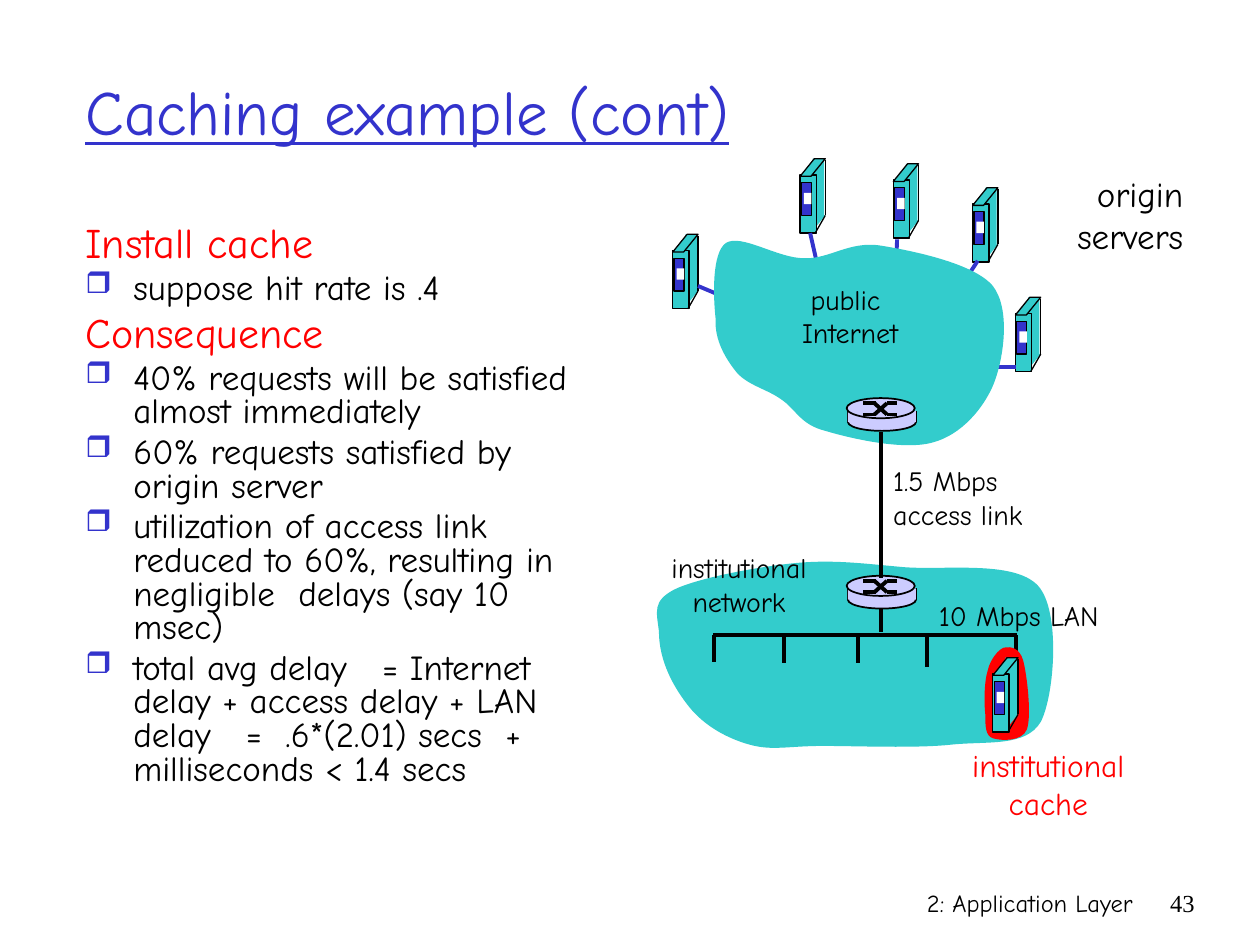
from dataclasses import dataclass
from typing import NamedTuple

from lxml.etree import SubElement
from pptx import Presentation
from pptx.dml.color import RGBColor
from pptx.enum.shapes import MSO_CONNECTOR, MSO_SHAPE
from pptx.enum.text import MSO_ANCHOR, PP_ALIGN
from pptx.oxml.ns import qn
from pptx.util import Inches, Pt


@dataclass(frozen=True)
class Theme:
    ink: str = "000000"
    paper: str = "FFFFFF"
    blue: str = "3333CC"
    teal: str = "33CCCC"
    pale: str = "CCCCFF"
    red: str = "FF0000"
    face: str = "Comic Neue"
    serif: str = "Times New Roman"
    title: int = 36
    head: int = 24
    body: int = 20
    cache: int = 18
    label: int = 16
    foot: int = 14
    thin: float = 0.75
    rim: float = 1
    thick: float = 2.25


class Point(NamedTuple):
    x: float
    y: float


class Box(NamedTuple):
    x: float
    y: float
    w: float
    h: float


class Label(NamedTuple):
    box: Box
    lines: tuple
    size: int
    align: PP_ALIGN = PP_ALIGN.CENTER
    color: str = Theme.ink
    face: str = Theme.face


class Item(NamedTuple):
    text: str
    head: bool = False


T = Theme()
SERVERS = [Point(5.34, 1.86), Point(6.35, 1.26), Point(7.09, 1.3),
           Point(7.72, 1.49), Point(8.06, 2.36)]
LINKS = [(5.54, 2.27, 5.85, 2.4), (6.43, 1.85, 6.5, 2.16), (7.12, 1.9, 7.11, 2.16),
         (7.76, 2.07, 7.61, 2.3), (8.06, 2.91, 7.79, 2.91)]
TAPS = [(5.67, 5.25), (6.22, 5.26), (6.81, 5.26), (7.36, 5.29), (8.06, 5.28)]
PUBLIC = [(5.68, 2.53), (5.66, 2.35), (5.65, 2.01), (5.76, 1.93), (5.88, 1.85), (6.17, 2.05),
          (6.38, 2.05), (6.58, 2.06), (6.74, 1.91), (6.99, 1.95), (7.24, 1.99), (7.73, 2.09),
          (7.88, 2.27), (8.02, 2.45), (7.97, 2.83), (7.89, 3.04), (7.81, 3.24), (7.63, 3.45),
          (7.41, 3.51), (7.18, 3.58), (6.75, 3.48), (6.55, 3.42), (6.35, 3.37), (6.32, 3.25),
          (6.2, 3.17), (6.09, 3.09), (5.94, 3.06), (5.85, 2.96), (5.76, 2.85), (5.67, 2.7),
          (5.68, 2.53)]
CAMPUS = [(5.23, 5.01), (5.21, 4.85), (5.18, 4.77), (5.35, 4.68), (5.53, 4.59), (6, 4.5),
          (6.3, 4.47), (6.6, 4.44), (6.83, 4.47), (7.16, 4.5), (7.48, 4.53), (8.05, 4.44),
          (8.24, 4.65), (8.42, 4.85), (8.37, 5.52), (8.26, 5.73), (8.14, 5.93), (7.84, 5.88),
          (7.55, 5.91), (7.27, 5.94), (6.8, 5.92), (6.53, 5.92), (6.26, 5.92), (6.13, 5.96),
          (5.95, 5.91), (5.77, 5.86), (5.59, 5.76), (5.47, 5.61), (5.35, 5.46), (5.23, 5.25),
          (5.23, 5.01)]
HALO = [(7.84, 5.32), (7.86, 5.23), (7.93, 5.15), (7.97, 5.14), (8.02, 5.13), (8.09, 5.14),
        (8.12, 5.24), (8.15, 5.35), (8.19, 5.68), (8.15, 5.79), (8.11, 5.89), (7.94, 5.88),
        (7.88, 5.86), (7.82, 5.84), (7.82, 5.76), (7.82, 5.67), (7.81, 5.58), (7.81, 5.41),
        (7.84, 5.32)]
ITEMS = [
    Item("Install cache", True),
    Item("suppose hit rate is .4"),
    Item("Consequence", True),
    Item("40% requests will be satisfied almost immediately"),
    Item("60% requests satisfied by origin server"),
    Item("utilization of access link reduced to 60%, resulting in negligible  delays (say 10 msec)"),
    Item("total avg delay   = Internet delay + access delay + LAN delay   =  .6*(2.01) secs  + "
         "milliseconds < 1.4 secs"),
]
LABELS = [
    Label(Box(5.92, 7, 3.17, 0.5), ("2: Application Layer",), T.foot, PP_ALIGN.RIGHT),
    Label(Box(9.08, 7, 0.5, 0.5), ("43",), T.foot, PP_ALIGN.RIGHT, face=T.serif),
    Label(Box(8.31, 1.32, 1.18, 0.77), ("origin", "servers"), T.body, PP_ALIGN.RIGHT),
    Label(Box(6.12, 2.19, 1.18, 0.64), ("public", " Internet"), T.label),
    Label(Box(5.14, 4.32, 1.45, 0.64), ("institutional", "network"), T.label),
    Label(Box(7.29, 4.7, 1.59, 0.37), ("10 Mbps LAN",), T.label),
    Label(Box(6.99, 3.63, 1.31, 0.64), ("1.5 Mbps", "access link"), T.label, PP_ALIGN.LEFT),
    Label(Box(7.52, 5.87, 1.6, 0.7), ("institutional", "cache"), T.cache, color=T.red),
]


def apply(thing, **form) -> None:
    for key, value in form.items():
        setattr(thing, key, value)


def paint(shape, fill: str, edge: float = 0) -> None:
    shape.shadow.inherit = False
    shape.fill.solid()
    shape.fill.fore_color.rgb = RGBColor.from_string(fill)
    if edge:
        shape.line.color.rgb = RGBColor.from_string(T.ink)
        shape.line.width = Pt(edge)
    else:
        shape.line.fill.background()


def block(pen, kind: MSO_SHAPE, at: Point, box: Box, fill: str, edge: float = 0) -> None:
    shape = pen.add_shape(kind, Inches(at.x + box.x), Inches(at.y + box.y),
                          Inches(box.w), Inches(box.h))
    if kind == MSO_SHAPE.PARALLELOGRAM:
        shape.adjustments[0] = 0.81
    paint(shape, fill, edge)


def wire(pen, ends: tuple, width: float, color: str = T.ink, at: Point = Point(0, 0)) -> None:
    x, y, right, low = ends
    line = pen.add_connector(MSO_CONNECTOR.STRAIGHT, Inches(at.x + x), Inches(at.y + y),
                             Inches(at.x + right), Inches(at.y + low))
    line.line.color.rgb = RGBColor.from_string(color)
    line.line.width = Pt(width)
    SubElement(line._element.spPr, qn("a:effectLst"))


def blob(pen, knots: list, fill: str) -> None:
    first, *rest = [(Inches(x), Inches(y)) for x, y in knots]
    maker = pen.build_freeform(*first)
    maker.add_line_segments(rest, close=False)
    shape = maker.convert_to_shape()
    route = shape._element.find(".//" + qn("a:path"))
    legs = route.findall(qn("a:lnTo"))
    for i in range(0, len(legs), 3):
        curve = SubElement(route, qn("a:cubicBezTo"))
        for leg in legs[i:i + 3]:
            curve.append(leg[0])
            route.remove(leg)
    SubElement(route, qn("a:close"))
    paint(shape, fill)


def server(pen, at: Point) -> None:
    pen = pen.add_group_shape().shapes
    slant, rect = MSO_SHAPE.PARALLELOGRAM, MSO_SHAPE.RECTANGLE
    block(pen, slant, at, Box(0, 0.45, 0.2, 0.14), T.teal)
    block(pen, rect, at, Box(0.1, 0, 0.09, 0.46), T.teal)
    block(pen, rect, at, Box(0, 0.13, 0.13, 0.46), T.teal, T.thin)
    block(pen, slant, at, Box(0, 0, 0.2, 0.14), T.teal, T.thin)
    wire(pen, (0.2, 0.01, 0.2, 0.45), T.thin, at=at)
    wire(pen, (0.2, 0.45, 0.12, 0.59), T.thin, at=at)
    block(pen, rect, at, Box(0.01, 0.19, 0.08, 0.26), T.blue, T.thin)
    block(pen, rect, at, Box(0.03, 0.27, 0.06, 0.09), T.paper)


def router(pen, at: Point) -> None:
    pen = pen.add_group_shape().shapes
    block(pen, MSO_SHAPE.OVAL, at, Box(0.01, 0.12, 0.54, 0.14), T.pale, T.rim)
    for x in (0.01, 0.55):
        wire(pen, (x, 0.1, x, 0.19), T.rim, at=at)
    block(pen, MSO_SHAPE.RECTANGLE, at, Box(0.01, 0.1, 0.54, 0.09), T.pale)
    block(pen, MSO_SHAPE.OVAL, at, Box(0, 0, 0.54, 0.16), T.pale, T.rim)
    for y, end in ((0.04, 0.13), (0.13, 0.04)):
        for ends in ((0.13, y, 0.23, y), (0.32, end, 0.4, end), (0.22, y, 0.32, end)):
            wire(pen, ends, T.thick, at=at)


def frame(pen, box: Box):
    text = pen.add_textbox(*map(Inches, box)).text_frame
    text.word_wrap = True
    return text


def write(text, i: int, words: str, size: int, color: str, face: str = T.face, **form):
    line = text.add_paragraph() if i else text.paragraphs[0]
    run = line.add_run()
    run.text = words
    apply(run.font, size=Pt(size), name=face, **form)
    run.font.color.rgb = RGBColor.from_string(color)
    return line


def label(pen, note: Label) -> None:
    text = frame(pen, note.box)
    for i, words in enumerate(note.lines):
        write(text, i, words, note.size, note.color, note.face).alignment = note.align


def points(pen) -> None:
    text = frame(pen, Box(0.58, 1.75, 4.33, 5.08))
    for i, item in enumerate(ITEMS):
        size, color = (T.head, T.red) if item.head else (T.body, T.ink)
        line = write(text, i, item.text, size, color)
        apply(line, line_spacing=0.8, space_before=Pt(size * 0.2 if i else 0))
        props = line._p.get_or_add_pPr()
        props.set("marL", str(Inches(0.38)))
        props.set("indent", str(-Inches(0.38)))
        if not item.head:
            SubElement(SubElement(props, qn("a:buClr")), qn("a:srgbClr"), val=T.blue)
            SubElement(props, qn("a:buSzPct"), val="85000")
            SubElement(props, qn("a:buChar"), char="❒")


def main() -> None:
    """Build the caching slide and save it."""
    deck = Presentation()
    apply(deck, slide_width=Inches(10), slide_height=Inches(7.5))
    pen = deck.slides.add_slide(deck.slide_layouts[6]).shapes
    title = frame(pen, Box(0.58, 0.25, 8.5, 1.25))
    title.vertical_anchor = MSO_ANCHOR.MIDDLE
    write(title, 0, "Caching example (cont)", T.title, T.blue, underline=True)
    points(pen)
    for at in SERVERS:
        server(pen, at)
    for ends in LINKS:
        wire(pen, ends, T.thick, T.blue)
    blob(pen, PUBLIC, T.teal)
    router(pen, Point(6.72, 3.16))
    blob(pen, CAMPUS, T.teal)
    wire(pen, (5.66, 5.04, 8.07, 5.04), T.thick)
    for x, low in TAPS:
        wire(pen, (x, 5.04, x, low), T.thick)
    blob(pen, HALO, T.red)
    server(pen, Point(7.88, 5.22))
    router(pen, Point(6.72, 4.57))
    for top, low in ((3.43, 4.59), (4.83, 5.02)):
        wire(pen, (6.99, top, 6.99, low), T.thick)
    for note in LABELS:
        label(pen, note)
    deck.save("out.pptx")


if __name__ == "__main__":
    main()
